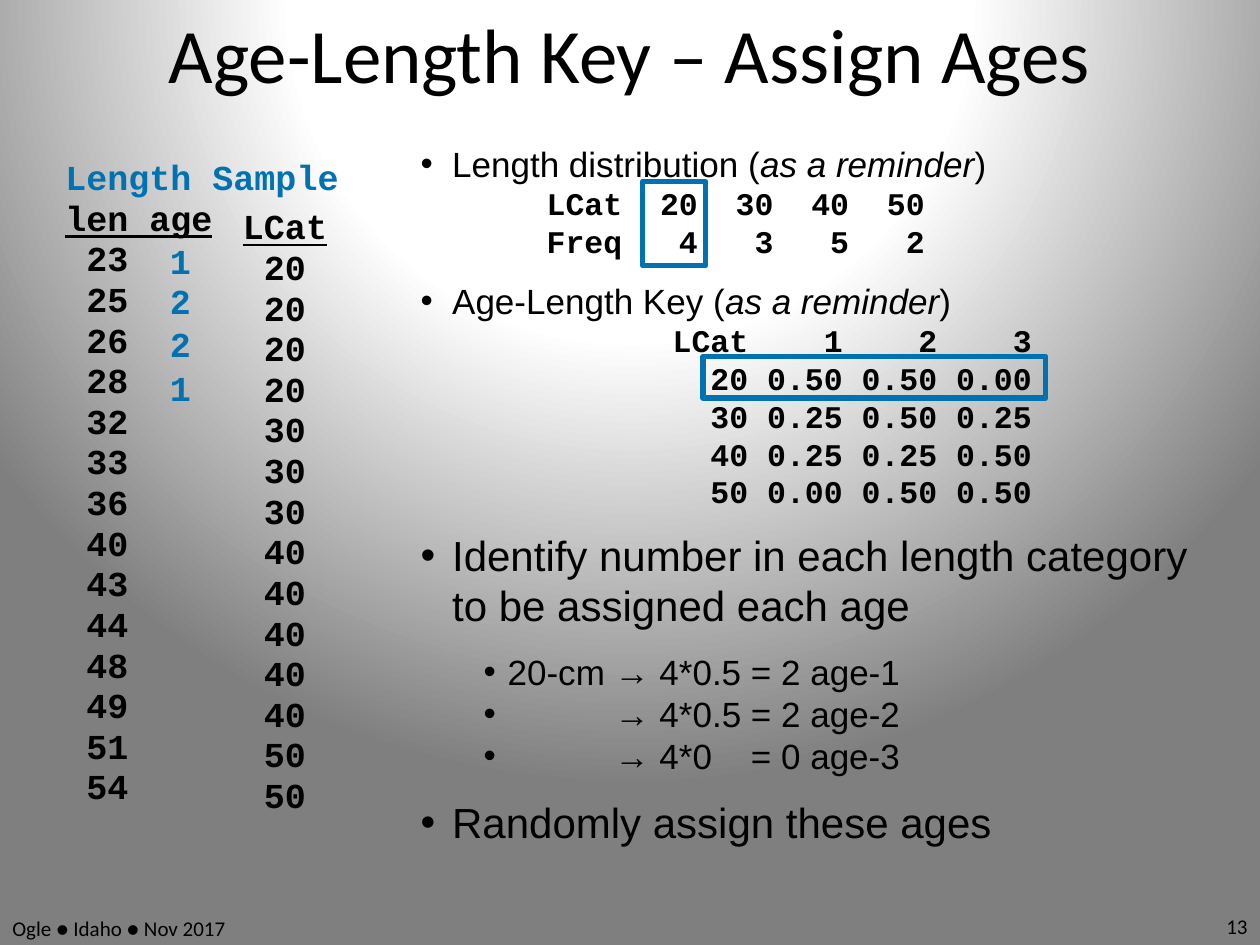
from lxml import etree
from pptx import Presentation
from pptx.dml.color import RGBColor
from pptx.enum.shapes import MSO_SHAPE
from pptx.enum.text import MSO_ANCHOR, PP_ALIGN
from pptx.oxml import parse_xml
from pptx.oxml.ns import nsdecls, qn
from pptx.util import Inches, Pt

RECTANGLE = MSO_SHAPE.RECTANGLE
MIDDLE = MSO_ANCHOR.MIDDLE
LEFT, CENTER, RIGHT = PP_ALIGN.LEFT, PP_ALIGN.CENTER, PP_ALIGN.RIGHT

COLORS = {"text": "000000", "accent": "0072B2"}
GRADIENT = [(40, "FEFEFE"), (43, "FFFFFF"), (100, "7F7F7F")]
MONO, SANS, HEADING = "Courier New", "Arial", "Calibri"

TITLE = "Age-Length Key – Assign Ages"
LENGTHS = [23, 25, 26, 28, 32, 33, 36, 40, 43, 44, 48, 49, 51, 54]
ASSIGNED_AGES = [("1", 1.85), ("2", 2.17), ("2", 2.51), ("1", 2.86)]  # age, top
FREQUENCIES = [
    ["LCat", "20", "30", "40", "50"],
    ["Freq", "4", "3", "5", "2"],
]
AGE_KEY = [
    ["LCat", "1", "2", "3"],
    ["20", "0.50", "0.50", "0.00"],
    ["30", "0.25", "0.50", "0.25"],
    ["40", "0.25", "0.25", "0.50"],
    ["50", "0.00", "0.50", "0.50"],
]
REMINDER = "as a reminder"
# text, left edge of the text
AGE_COUNTS = [
    ("20-cm → 4*0.5 = 2 age-1", 0.69),
    ("→ 4*0.5 = 2 age-2", 1.54),
    ("→ 4*0    = 0 age-3", 1.54),
]
HIGHLIGHTS = [(5.58, 2.83, 2.72, 0.33), (5.1, 1.44, 0.5, 0.67)]
# text, left, top, width, height, alignment
FOOTERS = [
    ("Ogle ● Idaho ● Nov 2017", 0, 7.23, 2.33, 0.27, LEFT),
    ("13", 7.67, 7.2, 2.33, 0.3, RIGHT),
]


def style(run, font, size, color="text", bold=False, italic=False, underline=False):
    run.font.name = font
    run.font.size = Pt(size)
    run.font.color.rgb = RGBColor.from_string(COLORS[color])
    run.font.bold, run.font.italic, run.font.underline = bold, italic, underline


def add_text_frame(slide, left, top, width, height, wrap=True):
    box = slide.shapes.add_textbox(*map(Inches, (left, top, width, height)))
    box.text_frame.word_wrap = wrap
    return box.text_frame


def next_paragraph(frame):
    """Return the still empty first paragraph, or a new one."""
    first = frame.paragraphs[0]
    return frame.add_paragraph() if first.runs else first


def set_indent(paragraph, left, hanging=0):
    properties = paragraph._p.get_or_add_pPr()
    properties.set("marL", str(Inches(left)))
    properties.set("indent", str(-Inches(hanging)))
    return properties


def set_background(slide):
    slide.background.fill.gradient()
    gradient = slide.background._cSld.find(".//" + qn("a:gradFill"))
    stops = "".join(
        f'<a:gs pos="{pos * 1000}"><a:srgbClr val="{color}"/></a:gs>'
        for pos, color in GRADIENT
    )
    gradient.getparent().replace(gradient, parse_xml(
        f'<a:gradFill {nsdecls("a")} rotWithShape="1"><a:gsLst>{stops}</a:gsLst>'
        '<a:path path="circle"><a:fillToRect l="50000" t="-80000" r="50000" b="180000"/>'
        "</a:path></a:gradFill>"))


def add_column(slide, left, top, width, height, heading, values, caption=None):
    """Add a tightly set monospaced column with an underlined heading."""
    frame = add_text_frame(slide, left, top, width, height)
    lines = [(heading, "text", True)] + [(f" {v}", "text", False) for v in values]
    if caption:
        lines.insert(0, (caption, "accent", False))
    for text, color, underline in lines:
        paragraph = next_paragraph(frame)
        paragraph.text = text
        paragraph.line_spacing = 0.8
        paragraph.space_before = Pt(4)
        set_indent(paragraph, 0.38, 0.38)
        style(paragraph.runs[0], MONO, 20, color, bold=True, underline=underline)


def add_bullet(frame, parts, size, left=0.25, hanging=0.25, before=0):
    """Add a bullet whose every second part is italic."""
    paragraph = next_paragraph(frame)
    paragraph.space_before = Pt(before)
    for index, text in enumerate(parts):
        run = paragraph.add_run()
        run.text = text
        style(run, SANS, size, italic=index % 2 == 1)
    properties = set_indent(paragraph, left, hanging)
    etree.SubElement(properties, qn("a:buFont")).set("typeface", SANS)
    etree.SubElement(properties, qn("a:buChar")).set("char", "•")


def add_rows(frame, rows, left, column_chars):
    """Add monospaced console output with right-justified columns."""
    for label, *values in rows:
        paragraph = next_paragraph(frame)
        paragraph.text = label.rjust(4) + "".join(v.rjust(column_chars) for v in values)
        style(paragraph.runs[0], MONO, 18, bold=True)
        set_indent(paragraph, left)


def add_explanation(slide):
    frame = add_text_frame(slide, 3.24, 1.08, 6.51, 5.91)
    add_bullet(frame, ["Length distribution (", REMINDER, ")"], 20)
    add_rows(frame, FREQUENCIES, left=1, column_chars=4)
    add_bullet(frame, ["Age-Length Key (", REMINDER, ")"], 20, before=11)
    add_rows(frame, AGE_KEY, left=2, column_chars=5)
    add_bullet(frame, ["Identify number in each length category to be assigned each age"],
               24, before=11)
    for index, (text, left) in enumerate(AGE_COUNTS):
        add_bullet(frame, [text], 20, left, left - 0.5, before=0 if index else 11.5)
    add_bullet(frame, ["Randomly assign these ages"], 24, before=11.5)


def main():
    prs = Presentation()
    prs.slide_width, prs.slide_height = Inches(10), Inches(7.5)
    slide = prs.slides.add_slide(prs.slide_layouts[5])
    set_background(slide)

    title = slide.shapes.title
    title.left, title.top, title.width, title.height = map(Inches, (0.5, 0, 9, 0.84))
    title.text_frame.text = TITLE
    title.text_frame.vertical_anchor = MIDDLE
    title.text_frame.paragraphs[0].alignment = CENTER
    style(title.text_frame.paragraphs[0].runs[0], HEADING, 44)

    add_column(slide, 0.42, 1.25, 2.67, 5.5, "len age", LENGTHS, "Length Sample")
    categories = [length // 10 * 10 for length in LENGTHS]
    add_column(slide, 1.83, 1.64, 0.92, 5.11, "LCat", categories)
    add_explanation(slide)

    for age, top in ASSIGNED_AGES:
        frame = add_text_frame(slide, 1.25, top, 0.37, 0.43, wrap=False)
        frame.text = age
        style(frame.paragraphs[0].runs[0], MONO, 20, "accent", bold=True)

    for position in HIGHLIGHTS:
        highlight = slide.shapes.add_shape(RECTANGLE, *map(Inches, position))
        highlight.shadow.inherit = False
        highlight.fill.background()
        highlight.line.color.rgb = RGBColor.from_string(COLORS["accent"])
        highlight.line.width = Pt(3)

    for text, left, top, width, height, alignment in FOOTERS:
        frame = add_text_frame(slide, left, top, width, height)
        frame.text = text
        frame.vertical_anchor = MIDDLE
        frame.paragraphs[0].alignment = alignment
        style(frame.paragraphs[0].runs[0], HEADING, 12)

    prs.save("out.pptx")


if __name__ == "__main__":
    main()
